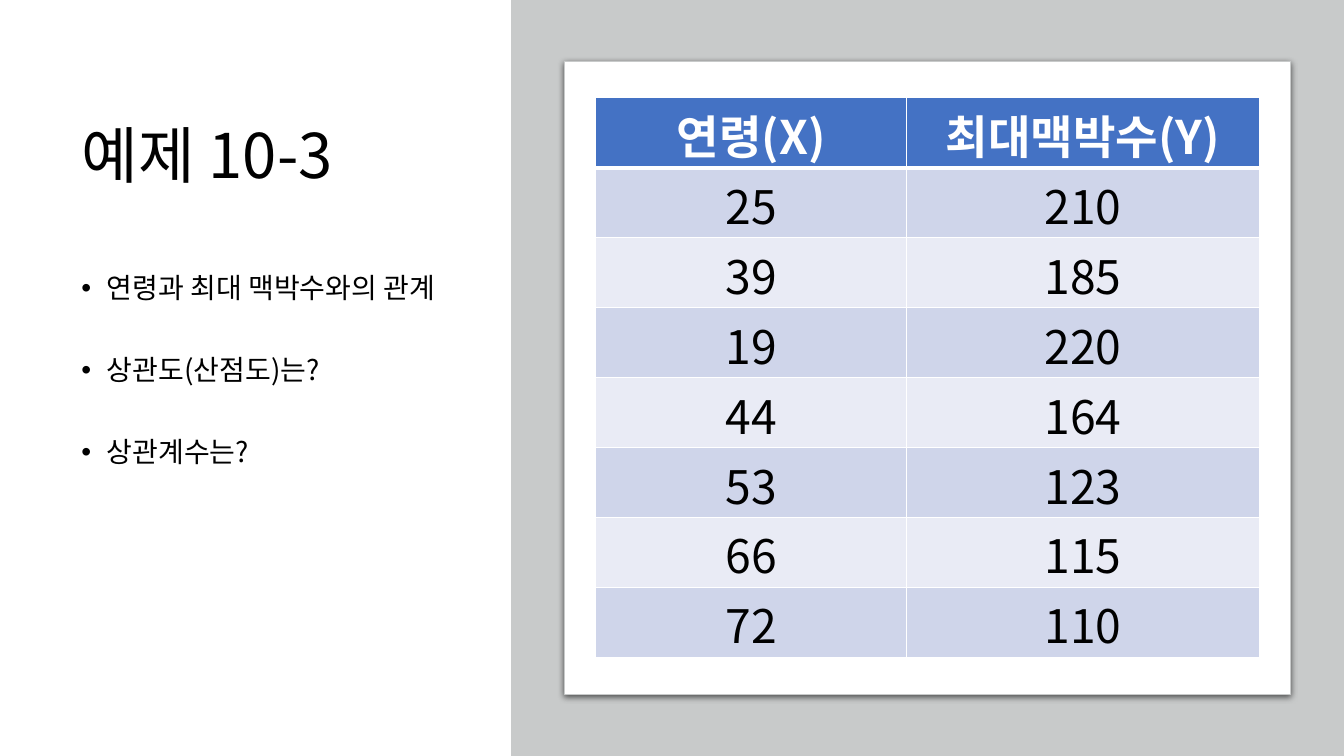
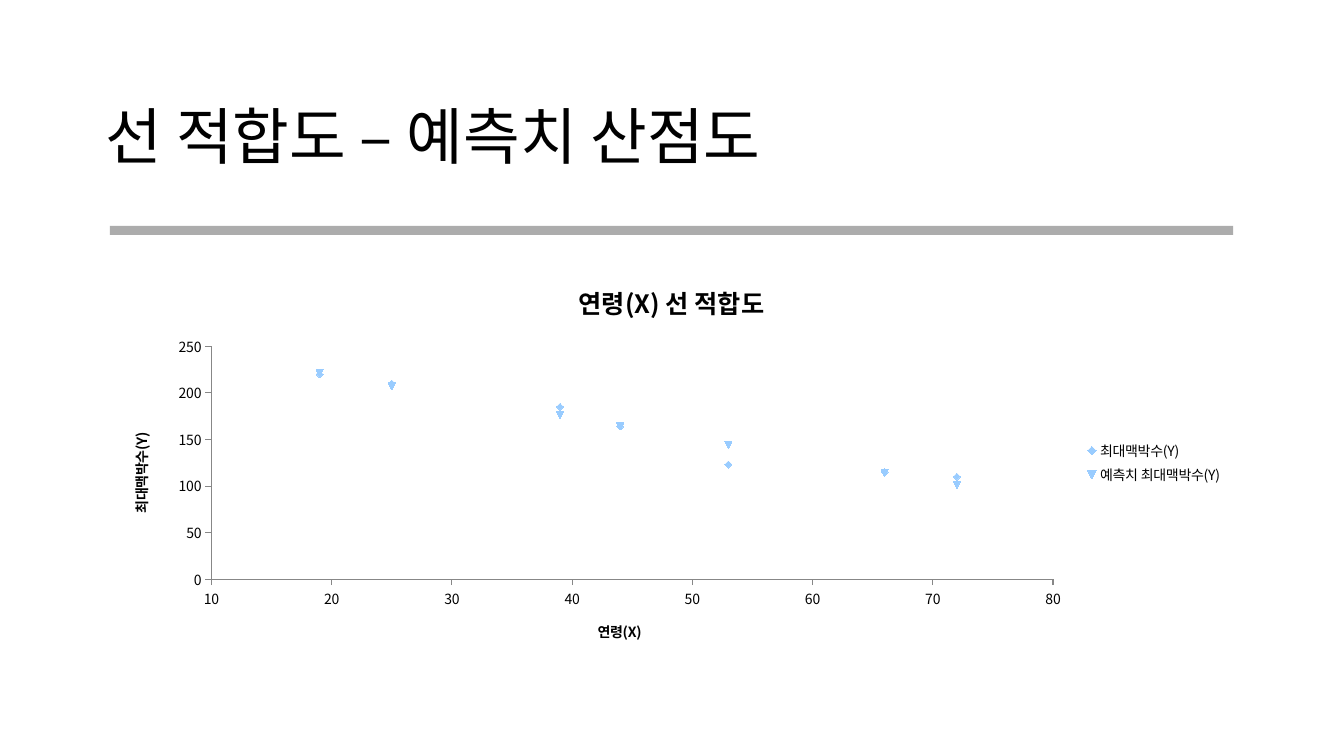
from lxml import etree
from pptx import Presentation
from pptx import util as u
from pptx.chart import data as chart_data
from pptx.dml import color
from pptx.enum import chart as charts, shapes, text
from pptx.oxml import ns

FONT = "Noto Sans CJK KR"
BLACK, WHITE, PANEL, RULE = "000000", "FFFFFF", "C8CACA", "808080"
HEADER, BANDS = "4472C4", ("E9EBF5", "CFD5EA")
MARKER, AXIS = "99CCFF", "878787"
AGE, RATE = "연령(X)", "최대맥박수(Y)"
AGES = (25, 39, 19, 44, 53, 66, 72)
RATES = (210, 185, 220, 164, 123, 115, 110)
PREDICTED = (207, 176, 221, 164, 144, 114, 101)


def rgb(value):
    """Turn a hex string into a colour."""
    return color.RGBColor.from_string(value)


def add_xml(parent, tag, **attributes):
    """Append a DrawingML element to a parent."""
    return etree.SubElement(parent, ns.qn(tag), attributes)


def style_font(font, size, ink=BLACK, bold=False):
    """Give a font the shared typeface and its own format."""
    font.size, font.bold, font.name = u.Pt(size), bold, FONT
    font.color.rgb = rgb(ink)


def write(paragraph, words, size, ink=BLACK, bold=False, align=None, spacing=None):
    """Write one formatted run into a paragraph."""
    paragraph.alignment = align
    paragraph.line_spacing = spacing
    run = paragraph.add_run()
    run.text = words
    style_font(run.font, size, ink, bold)
    add_xml(run.font._element, "a:ea", typeface=FONT)


def add_text_frame(slide, box, anchor=text.MSO_ANCHOR.TOP):
    """Add a wrapping text box and return its frame."""
    frame = slide.shapes.add_textbox(*map(u.Inches, box)).text_frame
    frame.word_wrap = True
    frame.vertical_anchor = anchor
    return frame


def add_title(slide, box, words):
    """Add a slide title."""
    frame = add_text_frame(slide, box, text.MSO_ANCHOR.MIDDLE)
    write(frame.paragraphs[0], words, 44, spacing=0.9)


def add_bullets(slide, box, items):
    """Add a widely spaced bullet list."""
    frame = add_text_frame(slide, box)
    for index, item in enumerate(items):
        paragraph = frame.add_paragraph() if index else frame.paragraphs[0]
        properties = paragraph._p.get_or_add_pPr()
        properties.set("marL", str(u.Inches(0.25)))
        properties.set("indent", str(u.Inches(-0.25)))
        if index:
            paragraph.space_before = u.Pt(37)
        paragraph.line_spacing = 0.9
        add_xml(properties, "a:buFont", typeface="Arial")
        add_xml(properties, "a:buChar", char="•")
        write(paragraph, item, 20, spacing=0.9)


def add_block(slide, box, fill, kind=shapes.MSO_SHAPE.RECTANGLE, line=None):
    """Add a filled shape without shadow."""
    shape = slide.shapes.add_shape(kind, *map(u.Inches, box))
    shape.shadow.inherit = False
    shape.fill.solid()
    shape.fill.fore_color.rgb = rgb(fill)
    if line:
        shape.line.color.rgb = rgb(line)
        shape.line.width = u.Pt(0.75)
    else:
        shape.line.fill.background()
    return shape


def add_card(slide, box):
    """Add a white card with a soft shadow below."""
    card = add_block(slide, box, WHITE, shapes.MSO_SHAPE.ROUNDED_RECTANGLE, PANEL)
    card.adjustments[0] = 0
    effects = card._element.spPr.find(ns.qn("a:effectLst"))
    shadow = add_xml(effects, "a:outerShdw", blurRad=str(u.Pt(4.5)),
                     dist=str(u.Pt(1.5)), dir="5400000", rotWithShape="0")
    add_xml(add_xml(shadow, "a:srgbClr", val=BLACK), "a:alpha", val="63000")


def add_borders(cell, top, bottom):
    """Draw white borders around a cell."""
    properties = cell._tc.get_or_add_tcPr()
    for side, width in zip("LRTB", (1, 1, top, bottom)):
        line = add_xml(properties, f"a:ln{side}", w=str(u.Pt(width)))
        add_xml(add_xml(line, "a:solidFill"), "a:srgbClr", val=WHITE)


def add_data_table(slide, box, widths, rows):
    """Add a banded table with a strong header row."""
    frame = slide.shapes.add_table(len(rows), len(widths), *map(u.Inches, box))
    table = frame.table
    table.first_row = table.horz_banding = False
    for column, width in zip(table.columns, widths):
        column.width = u.Inches(width)
    for row_index, values in enumerate(rows):
        table.rows[row_index].height = u.Inches(box[3] / len(rows))
        header = row_index == 0
        for column_index, value in enumerate(values):
            cell = table.cell(row_index, column_index)
            add_borders(cell, 3 if row_index == 1 else 1, 3 if header else 1)
            cell.fill.solid()
            cell.fill.fore_color.rgb = rgb(HEADER if header else BANDS[row_index % 2])
            cell.vertical_anchor = text.MSO_ANCHOR.MIDDLE
            cell.margin_left = cell.margin_right = cell.margin_top = u.Inches(0.03)
            cell.margin_bottom = 0
            write(cell.text_frame.paragraphs[0], str(value), 33,
                  WHITE if header else BLACK, header, text.PP_ALIGN.CENTER)


def add_rule(slide, box):
    """Add a translucent grey rule."""
    rule = add_block(slide, box, RULE)
    fill = rule._element.spPr.find(ns.qn("a:solidFill"))
    add_xml(fill[0], "a:alpha", val="65000")


def format_axis(axis, title, low, high, step):
    """Set the scale, title and line of an axis."""
    axis.minimum_scale, axis.maximum_scale, axis.major_unit = low, high, step
    axis.has_major_gridlines = False
    axis.major_tick_mark = charts.XL_TICK_MARK.OUTSIDE
    axis.format.line.color.rgb = rgb(AXIS)
    style_font(axis.tick_labels.font, 10)
    write(axis.axis_title.text_frame.paragraphs[0], title, 10, bold=True)


def add_scatter(slide, box):
    """Add the scatter chart of measured and predicted rates."""
    data = chart_data.XyChartData()
    for name, values in ((RATE, RATES), (f"예측치 {RATE}", PREDICTED)):
        series = data.add_series(name)
        for age, value in zip(AGES, values):
            series.add_data_point(age, value)
    chart = slide.shapes.add_chart(
        charts.XL_CHART_TYPE.XY_SCATTER, *map(u.Inches, box), data).chart
    style_font(chart.font, 10)
    chart.has_title = True
    write(chart.chart_title.text_frame.paragraphs[0], f"{AGE} 선 적합도", 18, bold=True)
    chart.has_legend = True
    chart.legend.position = charts.XL_LEGEND_POSITION.RIGHT
    chart.legend.include_in_layout = False
    style_font(chart.legend.font, 10)
    format_axis(chart.category_axis, AGE, 10, 80, 10)
    format_axis(chart.value_axis, RATE, 0, 250, 50)
    plot = chart.plots[0]
    plot.vary_by_categories = False
    for series in plot.series:
        series.smooth = False
        series.format.line.fill.background()
        series.marker.format.fill.solid()
        series.marker.format.fill.fore_color.rgb = rgb(MARKER)
        series.marker.format.line.color.rgb = rgb(MARKER)


def add_blank_slide(presentation):
    """Add a slide with the blank layout."""
    return presentation.slides.add_slide(presentation.slide_layouts[6])


def build_example(presentation):
    """Build the example slide with questions and data."""
    slide = add_blank_slide(presentation)
    add_title(slide, (0.71, 0.69, 3.83, 1.77), "예제 10-3")
    add_bullets(slide, (0.71, 2.67, 3.83, 4.14),
                ("연령과 최대 맥박수와의 관계", "상관도(산점도)는?", "상관계수는?"))
    add_block(slide, (5.07, 0, 8.26, 7.5), PANEL)
    add_card(slide, (5.6, 0.61, 7.2, 6.28))
    add_data_table(slide, (5.91, 0.97, 6.58, 5.55), (3.08, 3.5),
                   [(AGE, RATE), *zip(AGES, RATES)])


def build_fit(presentation):
    """Build the line fit slide with the scatter chart."""
    slide = add_blank_slide(presentation)
    add_title(slide, (0.95, 0.66, 11.43, 1.45), "선 적합도 – 예측치 산점도")
    add_rule(slide, (1.09, 2.24, 11.14, 0.09))
    add_scatter(slide, (1.09, 2.61, 11.14, 3.96))


def main():
    """Build and save the presentation."""
    presentation = Presentation()
    presentation.slide_width = u.Inches(13.33)
    presentation.slide_height = u.Inches(7.5)
    build_example(presentation)
    build_fit(presentation)
    presentation.save("out.pptx")


if __name__ == "__main__":
    main()
